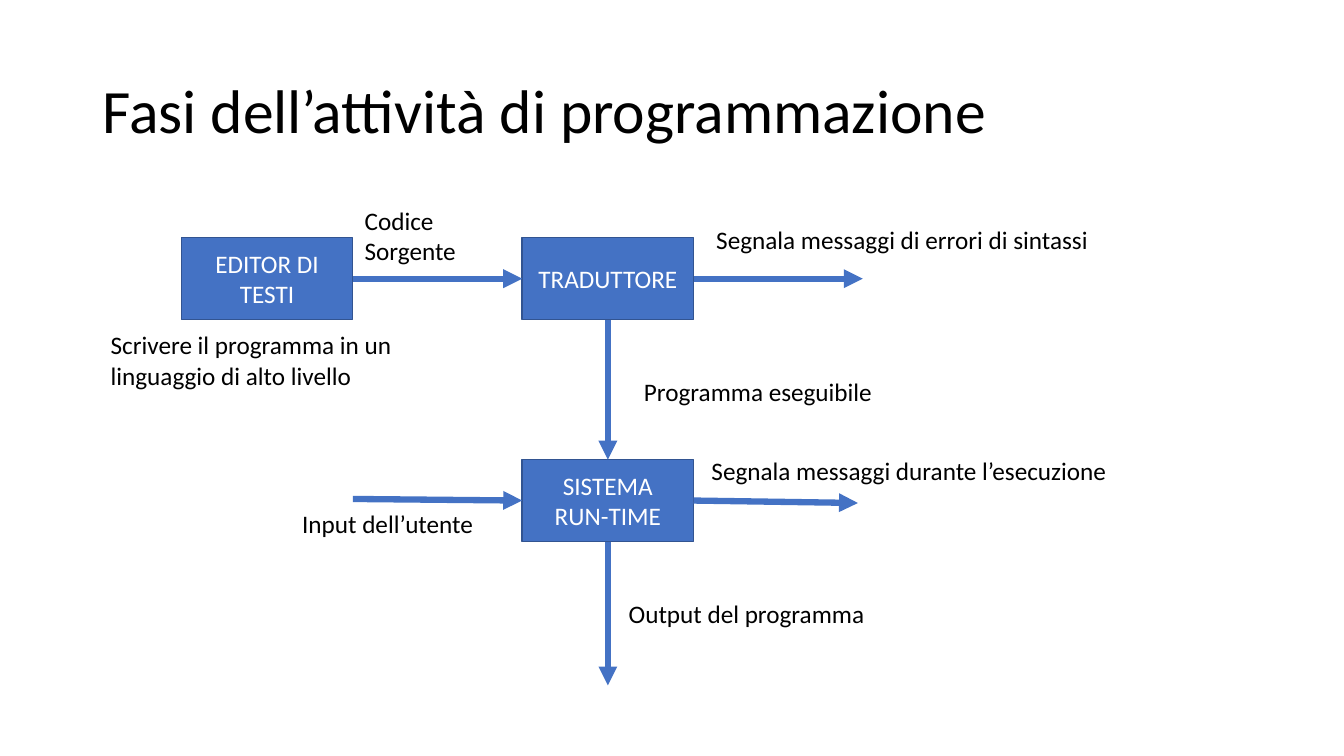
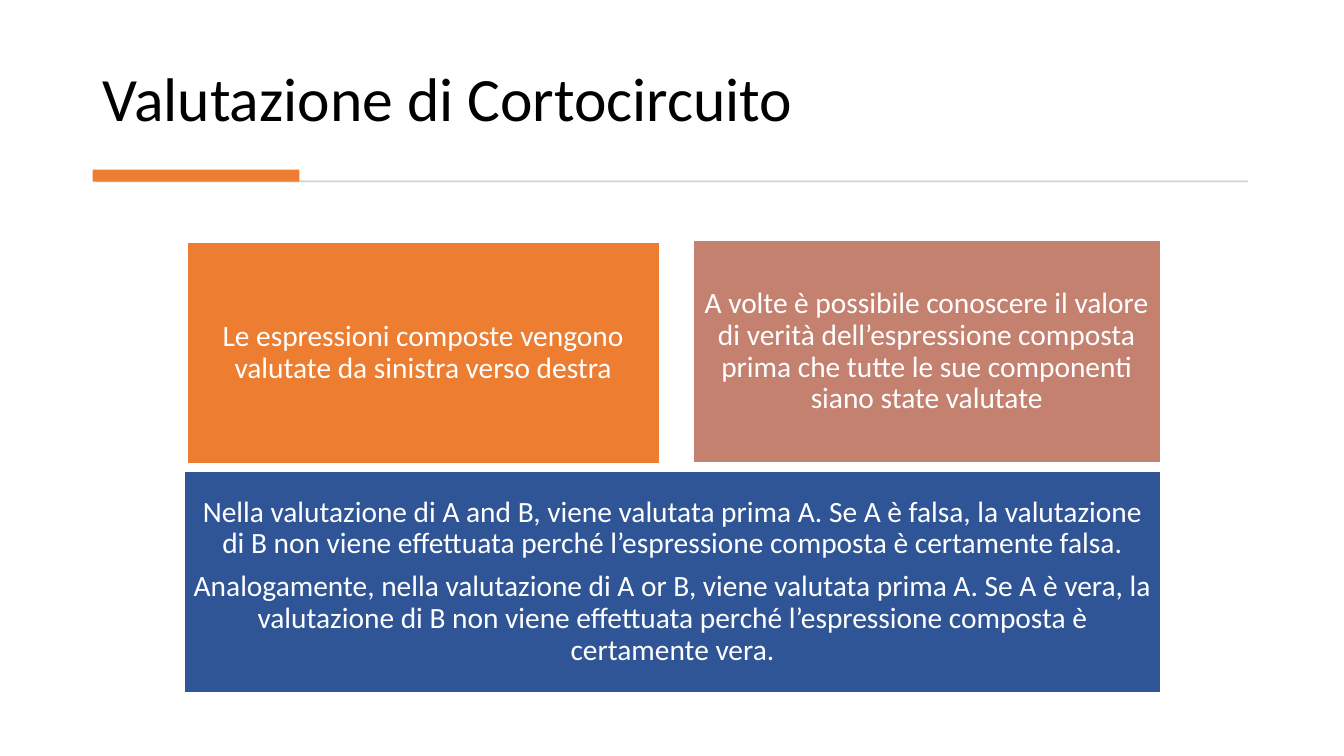
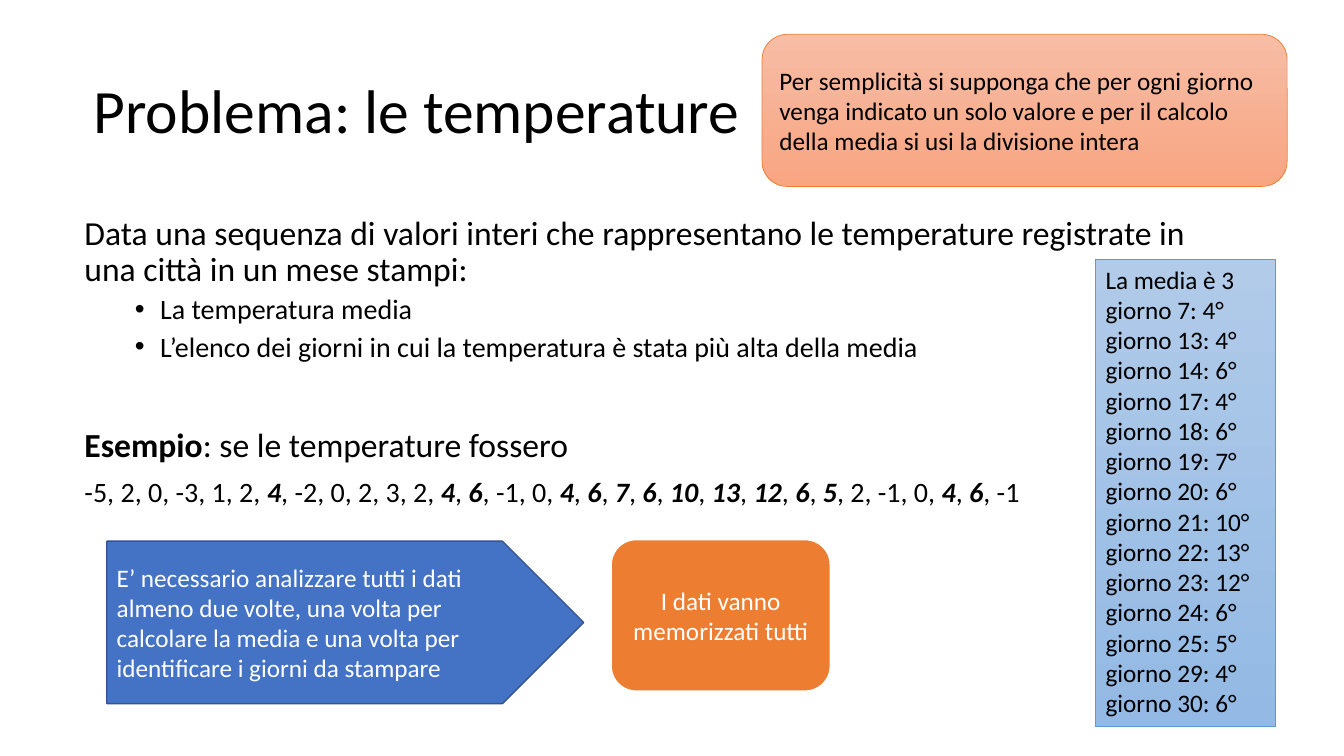
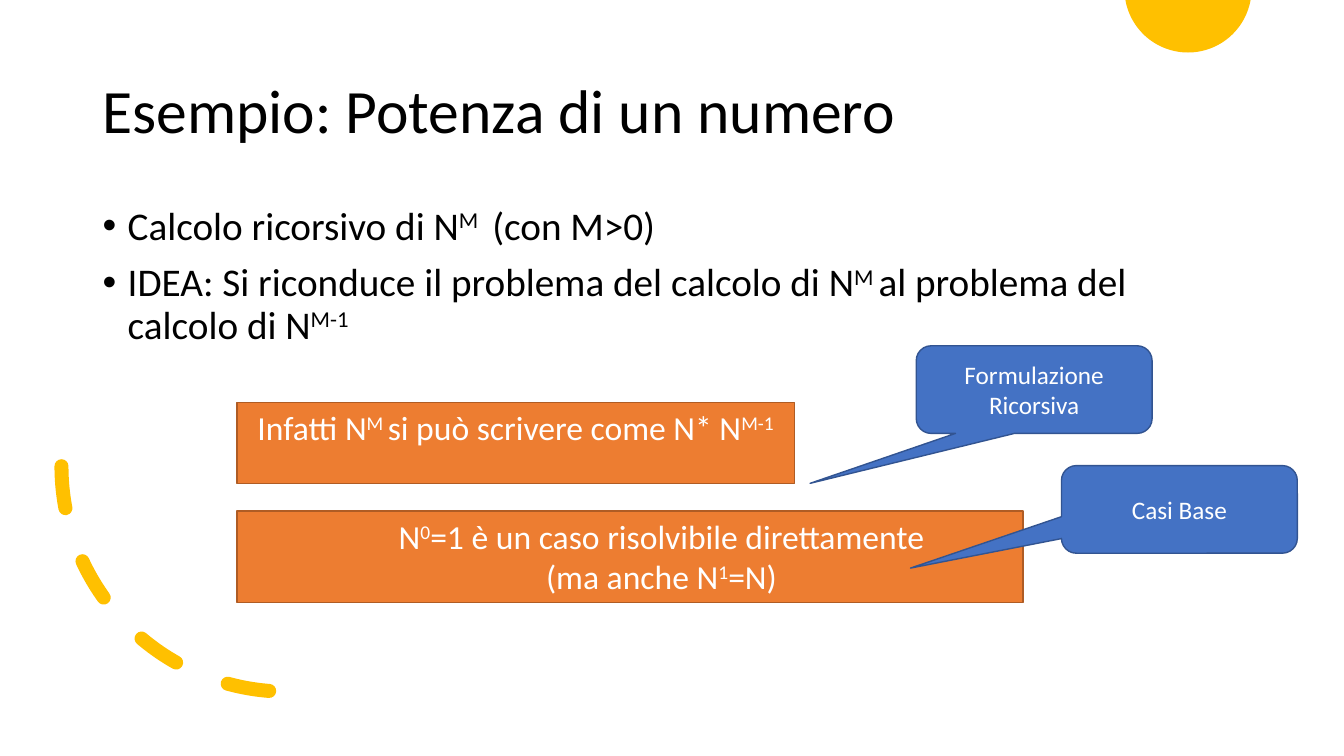
"""Four teaching slides on programming, built with python-pptx."""
from dataclasses import dataclass
from math import asin, cos, pi, sin
from typing import Any, Optional, Union

from lxml import etree
from pptx import Presentation
from pptx.dml.color import RGBColor
from pptx.enum.dml import MSO_LINE
from pptx.enum.shapes import MSO_CONNECTOR, MSO_SHAPE
from pptx.enum.text import MSO_ANCHOR, PP_ALIGN
from pptx.oxml.ns import qn
from pptx.slide import Slide
from pptx.util import Pt

RECT = MSO_SHAPE.RECTANGLE
ROUNDED = MSO_SHAPE.ROUNDED_RECTANGLE
PENTAGON = MSO_SHAPE.PENTAGON
CALLOUT = MSO_SHAPE.ROUNDED_RECTANGULAR_CALLOUT
ARC = MSO_SHAPE.ARC
STRAIGHT = MSO_CONNECTOR.STRAIGHT
DASH = MSO_LINE.DASH
LEFT, CENTER = PP_ALIGN.LEFT, PP_ALIGN.CENTER
TOP, MIDDLE, BOTTOM = MSO_ANCHOR.TOP, MSO_ANCHOR.MIDDLE, MSO_ANCHOR.BOTTOM

FONT = "Calibri"
BLACK, WHITE, GREY = "000000", "FFFFFF", "D5D5D5"
BLUE, BLUE_EDGE, NAVY = "4472C4", "325491", "2F5597"
ORANGE, ORANGE_EDGE, ROSE = "ED7D31", "AF5C24", "C48170"
GOLD, SKY = "FFC000", "5B9BD5"
SKY_FADE = ("B1CBE9", "93B9E4")
PEACH_FADE = ("F7BDA5", "F8A582")

ACCENTS = {
    "strong": {"bold": True},
    "stress": {"bold": True, "italic": True},
    "power": {},
}


@dataclass(frozen=True)
class Para:
    """A paragraph; pieces between bars take the accent."""
    text: str
    size: float = 18
    accent: str = "power"
    spacing: float = 1.0
    before: float = 0
    margin: float = 0
    bullet: bool = False


@dataclass(frozen=True)
class Box:
    """A text box, or a preset shape when a shape is named."""
    at: tuple[float, float, float, float]
    paras: tuple[Para, ...] = ()
    shape: Optional[Any] = None
    fill: Union[str, tuple[str, str], None] = None
    edge: Optional[str] = None
    edge_width: float = 1
    color: str = WHITE
    align: Any = CENTER
    anchor: Any = MIDDLE
    inset: tuple[float, float] = (7.2, 3.6)
    adjust: tuple[float, ...] = ()


@dataclass(frozen=True)
class Arrow:
    """A straight arrow between two points."""
    start: tuple[float, float]
    end: tuple[float, float]


def rgb(code: str) -> RGBColor:
    """Turn a hex string into a colour."""
    return RGBColor.from_string(code)


def set_attrs(obj: Any, values: dict[str, Any]) -> None:
    """Set every named attribute of an object."""
    for name, value in values.items():
        setattr(obj, name, value)


def lines(text: str, size: float = 18, **extra: Any) -> tuple[Para, ...]:
    """Make one paragraph of each line of text."""
    return tuple(Para(line, size, **extra) for line in text.split("\n"))


def add_para(p: Any, para: Para, color: str, align: Any) -> None:
    """Fill a paragraph with its runs and format."""
    set_attrs(p, {"alignment": align, "line_spacing": para.spacing,
                  "space_before": Pt(para.before)})
    pPr = p._p.get_or_add_pPr()
    if para.margin:
        pPr.set("marL", str(Pt(para.margin)))
    if para.bullet:
        pPr.set("indent", str(-Pt(18)))
        etree.SubElement(pPr, qn("a:buFont")).set("typeface", "Arial")
        etree.SubElement(pPr, qn("a:buChar")).set("char", "•")
    for i, piece in enumerate(para.text.split("|")):
        if not piece:
            continue
        r = p.add_run()
        r.text = piece
        set_attrs(r.font, {"name": FONT, "size": Pt(para.size)})
        r.font.color.rgb = rgb(color)
        if i % 2:
            set_attrs(r.font, ACCENTS[para.accent])
            if para.accent == "power":
                r._r.get_or_add_rPr().set("baseline", "30000")


def add_text(sp: Any, box: Box) -> None:
    """Write the paragraphs of a box into its shape."""
    tf = sp.text_frame
    across, down = map(Pt, box.inset)
    set_attrs(tf, {"word_wrap": True, "vertical_anchor": box.anchor,
                   "margin_left": across, "margin_right": across,
                   "margin_top": down, "margin_bottom": down})
    for i, para in enumerate(box.paras):
        p = tf.add_paragraph() if i else tf.paragraphs[0]
        add_para(p, para, box.color, box.align)


def paint(sp: Any, box: Box) -> None:
    """Give a shape its fill and outline, and no shadow."""
    sp.shadow.inherit = False
    if box.fill is None:
        sp.fill.background()
    elif isinstance(box.fill, str):
        sp.fill.solid()
        sp.fill.fore_color.rgb = rgb(box.fill)
    else:
        sp.fill.gradient()
        sp.fill.gradient_angle = 270
        for stop, code in zip(sp.fill.gradient_stops, box.fill):
            stop.color.rgb = rgb(code)
    if box.edge:
        sp.line.color.rgb = rgb(box.edge)
        sp.line.width = Pt(box.edge_width)
    else:
        sp.line.fill.background()


def add_box(slide: Slide, box: Box) -> Any:
    """Draw a box and return its shape."""
    at = [Pt(v) for v in box.at]
    if box.shape is None:
        sp = slide.shapes.add_textbox(*at)
    else:
        sp = slide.shapes.add_shape(box.shape, *at)
        for i, value in enumerate(box.adjust):
            sp.adjustments[i] = value
        paint(sp, box)
    if box.paras:
        add_text(sp, box)
    return sp


def add_arrow(slide: Slide, arrow: Arrow) -> None:
    """Draw a thick blue arrow."""
    sp = slide.shapes.add_connector(
        STRAIGHT, *(Pt(v) for v in arrow.start + arrow.end))
    sp.line.color.rgb = rgb(BLUE)
    sp.line.width = Pt(4.5)
    spPr = sp._element.spPr
    tail = etree.SubElement(spPr.find(qn("a:ln")), qn("a:tailEnd"))
    tail.set("type", "triangle")
    etree.SubElement(spPr, qn("a:effectLst"))


def label(left: float, top: float, width: float, text: str) -> Box:
    """Describe a plain black caption."""
    return Box((left, top, width, 29), lines(text), color=BLACK,
               align=LEFT, anchor=TOP)


def add_slide(prs: Any, title: str, left: float = 66.2, top: float = 28.8,
              height: float = 104.4, anchor: Any = MIDDLE) -> Slide:
    """Add a blank slide with its title."""
    slide = prs.slides.add_slide(prs.slide_layouts[6])
    add_box(slide, Box((left, top, 828, height), lines(title, 44, spacing=0.9),
                       color=BLACK, align=LEFT, anchor=anchor))
    return slide


def phases_slide(prs: Any) -> None:
    """Flow from the text editor to the running program."""
    slide = add_slide(prs, "Fasi dell’attività di programmazione")
    width, height = 122.4, 58.5
    editor_x, main_x = 129.6, 373
    upper_y, lower_y = 169.8, 328.3
    right, middle = main_x + width, main_x + width / 2
    upper_mid, lower_mid = upper_y + height / 2, lower_y + height / 2
    for left, top, text in (
            (editor_x, upper_y, "EDITOR DI TESTI"),
            (main_x, upper_y, "TRADUTTORE"),
            (main_x, lower_y, "SISTEMA\nRUN-TIME")):
        add_box(slide, Box((left, top, width, height), lines(text), RECT,
                           BLUE, BLUE_EDGE))
    for arrow in (
            Arrow((editor_x + width, upper_mid), (main_x, upper_mid)),
            Arrow((right, upper_mid), (616.3, upper_mid)),
            Arrow((middle, upper_y + height), (middle, lower_y)),
            Arrow((right, lower_mid), (612.8, 359.3)),
            Arrow((editor_x + width, 356.4), (main_x, lower_mid)),
            Arrow((middle, lower_y + height), (middle, 489.6))):
        add_arrow(slide, arrow)
    for caption in (
            label(504.5, 157, 336, "Segnala messaggi di errori di sintassi"),
            label(72, 232, 240.5,
                  "Scrivere il programma in un linguaggio di alto livello"),
            label(208.8, 359.3, 240.5, "Input dell’utente"),
            label(442, 423.7, 240.5, "Output del programma"),
            label(501.1, 321.8, 336, "Segnala messaggi durante l’esecuzione"),
            label(452.9, 265, 336, "Programma eseguibile"),
            label(253.4, 142.9, 129.6, "Codice Sorgente")):
        add_box(slide, caption)


def short_circuit_slide(prs: Any) -> None:
    """Rules of short-circuit evaluation in three panels."""
    slide = add_slide(prs, "Valutazione di Cortocircuito", top=20.2,
                      height=80, anchor=BOTTOM)
    add_box(slide, Box((68.4, 128.9, 823, 1.4), shape=RECT, fill=GREY))
    add_box(slide, Box((66.2, 121.2, 147.6, 8.6), shape=RECT, fill=ORANGE))
    for at, fill, texts in (
            ((133.5, 172.8, 337.5, 158.4), ORANGE,
             ("Le espressioni composte vengono valutate da sinistra "
              "verso destra",)),
            ((494.9, 172, 334, 158.4), ROSE,
             ("A volte è possibile conoscere il valore di verità "
              "dell’espressione composta prima che tutte le sue componenti "
              "siano state valutate",)),
            ((131.8, 336.4, 697, 158.4), NAVY,
             ("Nella valutazione di A and B, viene valutata prima A. Se A è "
              "falsa, la valutazione di B non viene effettuata perché "
              "l’espressione composta è certamente falsa.",
              "Analogamente, nella valutazione di A or B, viene valutata "
              "prima A. Se A è vera, la valutazione di B non viene "
              "effettuata perché l’espressione composta è certamente "
              "vera."))):
        paras = tuple(Para(text, 21, spacing=0.9, before=8 if i else 0)
                      for i, text in enumerate(texts))
        add_box(slide, Box(at, paras, RECT, fill, WHITE, inset=(6.3, 6.3)))


def temperatures_slide(prs: Any) -> None:
    """The temperature exercise with sample data and output."""
    slide = add_slide(prs, "Problema: le temperature", left=59.8)
    tight = {"spacing": 0.9}
    item = {"spacing": 0.9, "before": 5, "margin": 54, "bullet": True}
    body = (
        Para("Data una sequenza di valori interi che rappresentano le "
             "temperature registrate in una città in un mese stampi:",
             24, **tight),
        Para("La temperatura media", 20, **item),
        Para("L’elenco dei giorni in cui la temperatura è stata più alta "
             "della media", 20, **item),
        Para("|Esempio|: se le temperature fossero", 24, "strong",
             before=46.4, **tight),
        Para("-5, 2, 0, -3, 1, 2, |4|, -2, 0, 2, 3, 2, |4|,| 6|, -1, 0, |4|, "
             "|6|, |7|, |6|, |10|, |13|, |12|, |6|, |5|, 2, -1, 0, |4|, |6|, "
             "-1", 20, "stress", before=10, **tight),
    )
    warm_days = ((7, 4), (13, 4), (14, 6), (17, 4), (18, 6), (19, 7), (20, 6),
                 (21, 10), (22, 13), (23, 12), (24, 6), (25, 5), (29, 4),
                 (30, 6))
    output = "\n".join(["La media è 3"] + [
        f"giorno {day}: {degrees}°" for day, degrees in warm_days])
    for box in (
            Box((53.3, 150.9, 813.6, 330), body, color=BLACK, align=LEFT,
                anchor=TOP),
            Box((782.6, 185, 128.2, 334), lines(output), RECT, SKY_FADE, SKY,
                0.5, BLACK, LEFT, TOP),
            Box((544.3, 24.5, 375.1, 108.7), lines(
                "Per semplicità si supponga che per ogni giorno venga "
                "indicato un solo valore e per il calcolo della media si usi "
                "la divisione intera"),
                ROUNDED, PEACH_FADE, ORANGE, 0.5, BLACK, LEFT),
            Box((436.3, 385.2, 157, 108.7),
                lines("I dati vanno memorizzati tutti"), ROUNDED, ORANGE,
                WHITE, 1.5),
            Box((76.3, 386.6, 340.6, 116), lines(
                "E’ necessario analizzare tutti i dati almeno due volte, una "
                "volta per calcolare la media e una volta per identificare i "
                "giorni da stampare"),
                PENTAGON, BLUE, BLUE_EDGE, align=LEFT)):
        add_box(slide, box)


def add_sun(slide: Slide) -> None:
    """Draw a gold disc cut off by the top edge."""
    center_x, center_y, radius, steps = 848.6, -7.9, 45.4, 60
    first = asin(-center_y / radius)
    angles = [first + (pi - 2 * first) * i / steps for i in range(steps + 1)]
    points = [(Pt(center_x + radius * cos(a)), Pt(center_y + radius * sin(a)))
              for a in angles]
    builder = slide.shapes.build_freeform(*points[0])
    builder.add_line_segments(points[1:], close=True)
    paint(builder.convert_to_shape(), Box((0, 0, 0, 0), fill=GOLD))


def add_dashed_arc(slide: Slide) -> None:
    """Draw the gold dashed quarter circle at the lower left."""
    sp = add_box(slide, Box((43.9, 172, 322, 322), shape=ARC, edge=GOLD,
                            edge_width=10))
    sp.rotation = 90
    sp.line.dash_style = DASH
    spPr = sp._element.spPr
    spPr.find(qn("a:xfrm")).set("flipV", "1")
    spPr.find(qn("a:ln")).set("cap", "rnd")


def power_slide(prs: Any) -> None:
    """Recursive definition of the power of a number."""
    slide = add_slide(prs, "Esempio: Potenza di un numero")
    add_sun(slide)
    add_dashed_arc(slide)
    item = {"size": 28, "spacing": 0.9, "margin": 18, "bullet": True}
    body = (
        Para("Calcolo ricorsivo di N|M | (con M>0)", **item),
        Para("IDEA: Si riconduce il problema del calcolo di N|M |al problema "
             "del calcolo di N|M-1|", before=10, **item),
    )
    for box in (
            Box((66.2, 144, 828, 342.7), body, color=BLACK, align=LEFT,
                anchor=TOP),
            Box((169.2, 287.3, 398.2, 58.3),
                lines("Infatti N|M |si può scrivere come N* N|M-1|", 24),
                RECT, ORANGE, ORANGE_EDGE, anchor=TOP),
            Box((169.2, 365, 561.6, 65.5),
                lines("N|0|=1 è un caso risolvibile direttamente\n"
                      "(ma anche N|1|=N)", 24, margin=45),
                RECT, ORANGE, ORANGE_EDGE, anchor=TOP),
            Box((654.5, 247, 168.5, 62.6), lines("Formulazione Ricorsiva"),
                CALLOUT, BLUE, BLUE_EDGE, adjust=(-0.95, 1.07, 0.17)),
            Box((758.2, 332.6, 168.5, 62.6), lines("Casi Base"),
                CALLOUT, BLUE, BLUE_EDGE, adjust=(-1.14, 0.67, 0.17))):
        add_box(slide, box)


def main() -> None:
    """Build the slides and save them."""
    prs = Presentation()
    set_attrs(prs, {"slide_width": Pt(960), "slide_height": Pt(540)})
    for build in (phases_slide, short_circuit_slide, temperatures_slide,
                  power_slide):
        build(prs)
    prs.save("out.pptx")


main()
